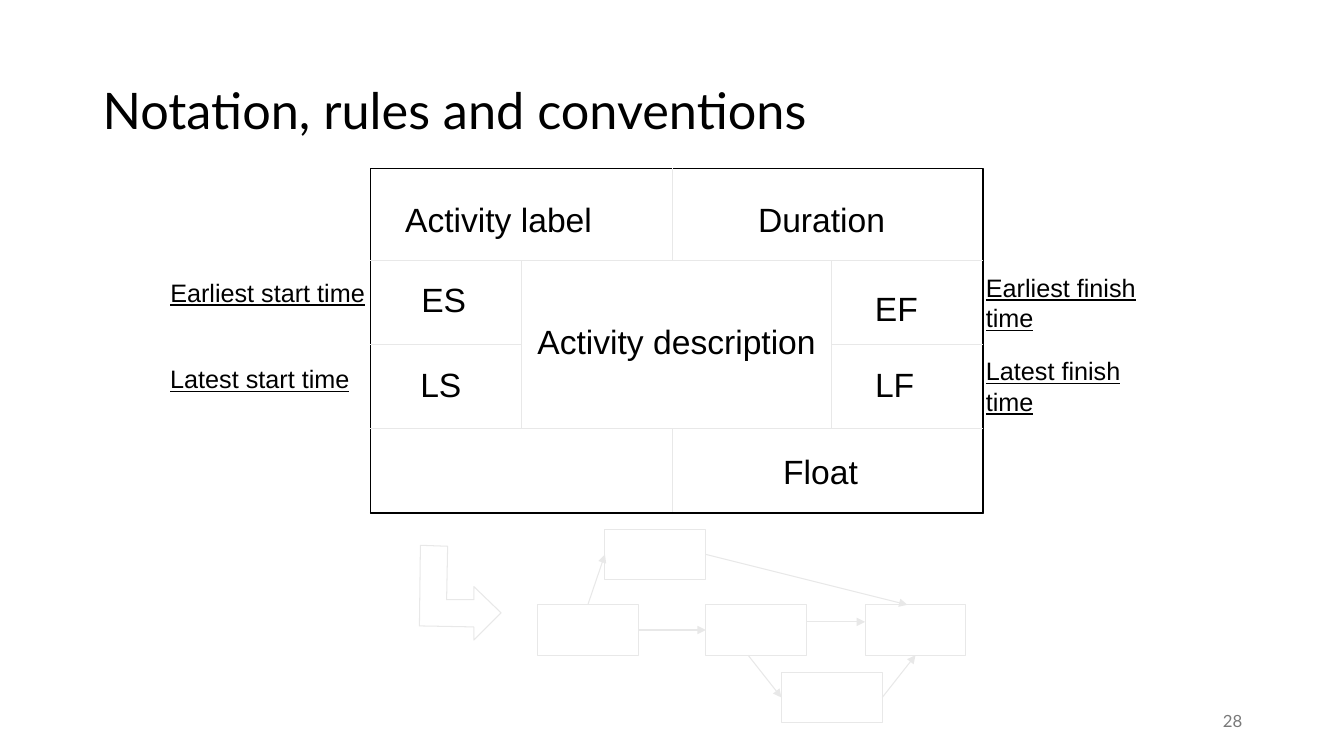
from lxml.etree import SubElement
from pptx import Presentation
from pptx.dml.color import RGBColor
from pptx.enum.shapes import MSO_CONNECTOR, MSO_SHAPE
from pptx.enum.text import MSO_ANCHOR, MSO_AUTO_SIZE, PP_ALIGN
from pptx.oxml.ns import qn
from pptx.util import Inches, Pt

BLACK = RGBColor(0x00, 0x00, 0x00)
PALE = RGBColor(0xE8, 0xE8, 0xE8)
GREY = RGBColor(0x79, 0x79, 0x79)

# Box sides for joined connectors
TOP, LEFT, BOTTOM, RIGHT = range(4)


def write(frame, text, size=24, font="Arial", color=BLACK, align=PP_ALIGN.LEFT,
          anchor=MSO_ANCHOR.TOP, under=None, wrap=False, grow=False, space=None):
    frame.word_wrap = wrap
    frame.auto_size = MSO_AUTO_SIZE.SHAPE_TO_FIT_TEXT if grow else MSO_AUTO_SIZE.NONE
    frame.vertical_anchor = anchor
    frame.text = text
    for para in frame.paragraphs:
        para.alignment = align
        para.line_spacing = space
        style = para.runs[0].font
        style.size, style.name, style.underline = Pt(size), font, under
        style.color.rgb = color


class Board:
    head = "Lato"
    width = Pt(0.75)

    def __init__(self, slide):
        self.shapes = slide.shapes

    def text(self, at, text, **style):
        box = self.shapes.add_textbox(*map(Inches, at))
        write(box.text_frame, text, **style)

    def plain(self, shape, color):
        shape.shadow.inherit = False
        shape.fill.background()
        shape.line.color.rgb = color
        shape.line.width = self.width
        return shape

    def box(self, at, color=PALE):
        shape = self.shapes.add_shape(MSO_SHAPE.RECTANGLE, *map(Inches, at))
        return self.plain(shape, color)

    def line(self, start, end, color=PALE):
        link = self.shapes.add_connector(
            MSO_CONNECTOR.STRAIGHT, *map(Inches, start + end))
        link.line.color.rgb = color
        link.line.width = self.width
        SubElement(link._element.spPr, qn("a:effectLst"))
        return link

    def arrow(self, start, end, source=None, target=None):
        link = self.line(start, end)
        if source:
            link.begin_connect(*source)
        if target:
            link.end_connect(*target)
        SubElement(link.line._get_or_add_ln(), qn("a:tailEnd"), type="triangle")

    def outline(self, points):
        spots = [(Inches(x), Inches(y)) for x, y in points]
        form = self.shapes.build_freeform(*spots[0])
        form.add_line_segments(spots[1:], close=True)
        self.plain(form.convert_to_shape(), PALE)


def main():
    deck = Presentation()
    deck.slide_width, deck.slide_height = Inches(13.33), Inches(7.5)
    board = Board(deck.slides.add_slide(deck.slide_layouts[6]))

    # Page number and title
    board.text((9.42, 6.95, 3, 0.4), "28", size=12, font=board.head, color=GREY,
               align=PP_ALIGN.RIGHT, anchor=MSO_ANCHOR.MIDDLE, wrap=True)
    board.text((0.92, 0.4, 11.5, 1.45), "Notation, rules and conventions", size=36,
               font=board.head, anchor=MSO_ANCHOR.MIDDLE, wrap=True, space=0.9)

    # Activity node with its grid
    x1, x2, x3, x4, x5 = 3.67, 5.17, 6.67, 8.25, 9.75
    y1, y2, y3, y4, y5 = 1.67, 2.58, 3.42, 4.25, 5.08
    node = board.box((x1, y1, x5 - x1, y5 - y1 + 0.01), BLACK)
    write(node.text_frame, "Activity description", align=PP_ALIGN.CENTER,
          anchor=MSO_ANCHOR.MIDDLE)
    for left, right, y in ((x1, x5, y2), (x1, x2, y3), (x4, x5, y3), (x1, x5, y4)):
        board.line((left, y), (right, y))
    board.line((x1, y5), (x5, y5), BLACK)
    for x, top, low in ((x3, y1, y2), (x3, y4, y5), (x2, y2, y4), (x4, y2, y4)):
        board.line((x, top), (x, low))

    # Cell labels
    for x, y, w, label in (
            (3.92, 1.92, 2.06, "Activity label"), (7.42, 1.92, 1.46, "Duration"),
            (4.08, 2.72, 0.65, "ES"), (4.07, 3.56, 0.61, "LS"),
            (8.58, 2.81, 0.63, "EF"), (8.58, 3.56, 0.59, "LF"),
            (7.67, 4.42, 0.94, "Float")):
        board.text((x, y, w, 0.5), label, grow=True)

    # Sample network
    mid, first, upper, last, lower = [
        board.box((x, y, 1, 0.5)) for x, y in (
            (7, 6), (5.33, 6), (6, 5.25), (8.58, 6), (7.75, 6.67))]
    board.arrow((6.33, 6.25), (7, 6.25), (first, RIGHT), (mid, LEFT))
    board.arrow((5.83, 6), (6, 5.5), (first, TOP), (upper, LEFT))
    board.arrow((7, 5.5), (9, 6), source=(upper, RIGHT))
    board.arrow((8, 6.17), (8.58, 6.17))
    board.arrow((7.42, 6.5), (7.75, 6.92), target=(lower, LEFT))
    board.arrow((8.75, 6.92), (9.08, 6.5), (lower, RIGHT), (last, BOTTOM))

    # Bent arrow
    board.outline(((4.97, 6.08), (4.7, 5.82), (4.7, 5.95), (4.43, 5.95), (4.44, 5.42),
                   (4.17, 5.41), (4.16, 6.21), (4.7, 6.22), (4.7, 6.35)))

    # Side notes
    for x, y, w, h, note in (
            (1.59, 2.7, 2.22, 0.4, "Earliest start time"),
            (1.59, 3.56, 2, 0.4, "Latest start time"),
            (9.68, 2.65, 1.77, 0.71, "Earliest finish\ntime"),
            (9.68, 3.48, 1.62, 0.71, "Latest finish\ntime")):
        board.text((x, y, w, h), note, size=18, under=True, grow=True)

    deck.save("out.pptx")


if __name__ == "__main__":
    main()
